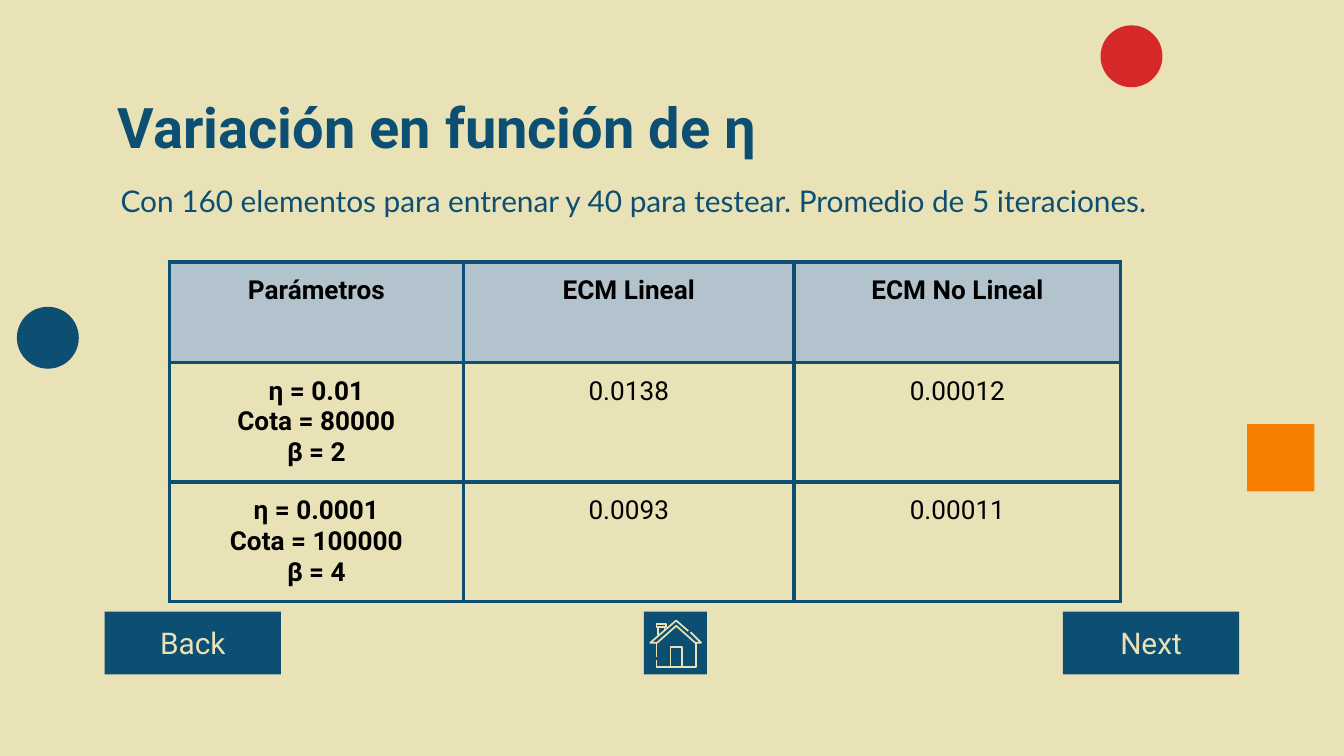
from dataclasses import dataclass
from typing import NamedTuple

from lxml import etree
from pptx import Presentation
from pptx import util as u
from pptx.dml.color import RGBColor
from pptx.enum import shapes, text
from pptx.oxml import ns


@dataclass(frozen=True)
class Theme:
    cream: str = "EAE2B7"
    navy: str = "0C4F72"
    orange: str = "F77F00"
    red: str = "D62828"
    header: str = "B3C3CE"
    black: str = "000000"
    head_font: str = "Roboto"
    body_font: str = "Lato"
    title_size: float = 30
    body_size: float = 16
    table_size: float = 14
    border: float = 2.25
    icon_line: float = 0.9


class Box(NamedTuple):
    x: float
    y: float
    w: float
    h: float

    def lengths(self) -> list:
        return [u.Cm(v) for v in self]


class Block(NamedTuple):
    kind: shapes.MSO_SHAPE
    box: Box
    color: str
    label: str = ""


THEME = Theme()
INSET = 0.25
LEFT, WIDTH = 1.98, 21.44
NAV_Y, NAV_W, NAV_H = 11.56, 3.33, 1.19
HOME_X = 12.17
RECT, OVAL = shapes.MSO_SHAPE.RECTANGLE, shapes.MSO_SHAPE.OVAL

BLOCKS = [
    # Decoration
    Block(RECT, Box(23.57, 8.02, 1.27, 1.27), THEME.orange),
    Block(OVAL, Box(0.32, 5.8, 1.17, 1.17), THEME.navy),
    Block(OVAL, Box(20.8, 0.48, 1.17, 1.17), THEME.red),
    # Navigation
    Block(RECT, Box(LEFT, NAV_Y, NAV_W, NAV_H), THEME.navy, "Back"),
    Block(RECT, Box(HOME_X, NAV_Y, NAV_H, NAV_H), THEME.navy),
    Block(RECT, Box(LEFT + WIDTH - NAV_W, NAV_Y, NAV_W, NAV_H), THEME.navy, "Next"),
]

# House strokes, in hundredths of a centimetre from the home button's corner
HOUSE = [
    [(88, 39), (108, 59), (97, 59), (61, 27), (25, 59), (12, 59), (61, 17), (84, 37)],
    [(24, 60), (24, 86)],
    [(24, 92), (24, 105), (98, 105), (98, 60)],
    [(50, 105), (50, 67), (72, 67), (72, 105)],
    [(24, 24), (42, 24), (42, 29), (24, 29), (24, 24)],
    [(27, 30), (27, 45)],
    [(39, 30), (39, 34)],
]

COLUMNS = [5.56, 6.25, 6.17]
ROWS = [1.9, 2.26, 2.26]
CELLS = [
    ["Parámetros", "ECM Lineal", "ECM No Lineal"],
    ["η = 0.01\nCota = 80000\nβ = 2", "0.0138", "0.00012"],
    ["η = 0.0001\nCota = 100000\nβ = 4", "0.0093", "0.00011"],
]


def rgb(color: str) -> RGBColor:
    return RGBColor.from_string(color)


def write(tf, words: str, size: float, color: str, font: str = THEME.head_font,
          bold: bool = False, align=text.PP_ALIGN.CENTER) -> None:
    tf.text = words
    for p in tf.paragraphs:
        p.alignment = align
        p.space_before = u.Pt(0)
        for r in p.runs:
            r.font.size, r.font.name, r.font.bold = u.Pt(size), font, bold
            r.font.color.rgb = rgb(color)


def set_frame(tf, anchor, left: float = INSET) -> None:
    tf.word_wrap = True
    tf.auto_size = text.MSO_AUTO_SIZE.NONE
    tf.vertical_anchor = anchor
    tf.margin_left = u.Cm(left)
    tf.margin_top = tf.margin_right = tf.margin_bottom = u.Cm(INSET)


def place(sp, box: Box) -> None:
    sp.left, sp.top, sp.width, sp.height = box.lengths()


def add_block(s, block: Block) -> None:
    sp = s.shapes.add_shape(block.kind, *block.box.lengths())
    sp.shadow.inherit = False
    sp.fill.solid()
    sp.fill.fore_color.rgb = rgb(block.color)
    sp.line.fill.background()
    if block.label:
        set_frame(sp.text_frame, text.MSO_ANCHOR.MIDDLE)
        write(sp.text_frame, block.label, THEME.body_size, THEME.cream)


def add_house(s) -> None:
    builder = s.shapes.build_freeform(*HOUSE[0][0], scale=u.Cm(0.01))
    for i, stroke in enumerate(HOUSE):
        if i:
            builder.move_to(*stroke[0])
        builder.add_line_segments(stroke[1:], close=False)
    sp = builder.convert_to_shape(u.Cm(HOME_X), u.Cm(NAV_Y))
    sp.shadow.inherit = False
    sp.fill.background()
    sp.line.color.rgb = rgb(THEME.cream)
    sp.line.width = u.Pt(THEME.icon_line)


def add_borders(cell) -> None:
    tc_pr = cell._tc.get_or_add_tcPr()
    for side in ("lnL", "lnR", "lnT", "lnB"):
        ln = etree.SubElement(tc_pr, ns.qn(f"a:{side}"), w=str(u.Pt(THEME.border)))
        fill = etree.SubElement(ln, ns.qn("a:solidFill"))
        etree.SubElement(fill, ns.qn("a:srgbClr"), val=THEME.navy)


def add_results(s) -> None:
    box = Box(3.2, 4.95, sum(COLUMNS), sum(ROWS))
    table = s.shapes.add_table(len(ROWS), len(COLUMNS), *box.lengths()).table
    table.first_row = table.horz_banding = False
    for column, width in zip(table.columns, COLUMNS):
        column.width = u.Cm(width)
    for i, (row, height) in enumerate(zip(table.rows, ROWS)):
        row.height = u.Cm(height)
        for j, cell in enumerate(row.cells):
            cell.margin_left = cell.margin_right = u.Cm(INSET)
            cell.margin_top = cell.margin_bottom = u.Cm(INSET)
            write(cell.text_frame, CELLS[i][j], THEME.table_size, THEME.black,
                  bold=i == 0 or j == 0)
            add_borders(cell)
            if i == 0:
                cell.fill.solid()
                cell.fill.fore_color.rgb = rgb(THEME.header)
            else:
                cell.fill.background()


def main() -> None:
    prs = Presentation()
    prs.slide_width, prs.slide_height = u.Cm(25.4), u.Cm(14.29)
    s = prs.slides.add_slide(prs.slide_layouts[1])
    s.background.fill.solid()
    s.background.fill.fore_color.rgb = rgb(THEME.cream)

    # Title and subtitle
    title, body = s.shapes.title, s.placeholders[1]
    place(title, Box(LEFT, 1.5, WIDTH, 1.6))
    set_frame(title.text_frame, text.MSO_ANCHOR.TOP)
    write(title.text_frame, "Variación en función de η", THEME.title_size,
          THEME.navy, bold=True, align=text.PP_ALIGN.LEFT)
    place(body, Box(LEFT, 3.1, WIDTH, 1.37))
    set_frame(body.text_frame, text.MSO_ANCHOR.MIDDLE, left=0.3)
    write(body.text_frame,
          "Con 160 elementos para entrenar y 40 para testear. Promedio de 5 iteraciones.",
          THEME.body_size, THEME.navy, THEME.body_font, align=text.PP_ALIGN.LEFT)
    p_pr = body.text_frame.paragraphs[0]._p.get_or_add_pPr()
    p_pr.set("marL", "0")
    p_pr.set("indent", "0")
    etree.SubElement(p_pr, ns.qn("a:buNone"))

    # Decoration, navigation and results
    for block in BLOCKS:
        add_block(s, block)
    add_house(s)
    add_results(s)
    prs.save("out.pptx")


if __name__ == "__main__":
    main()
